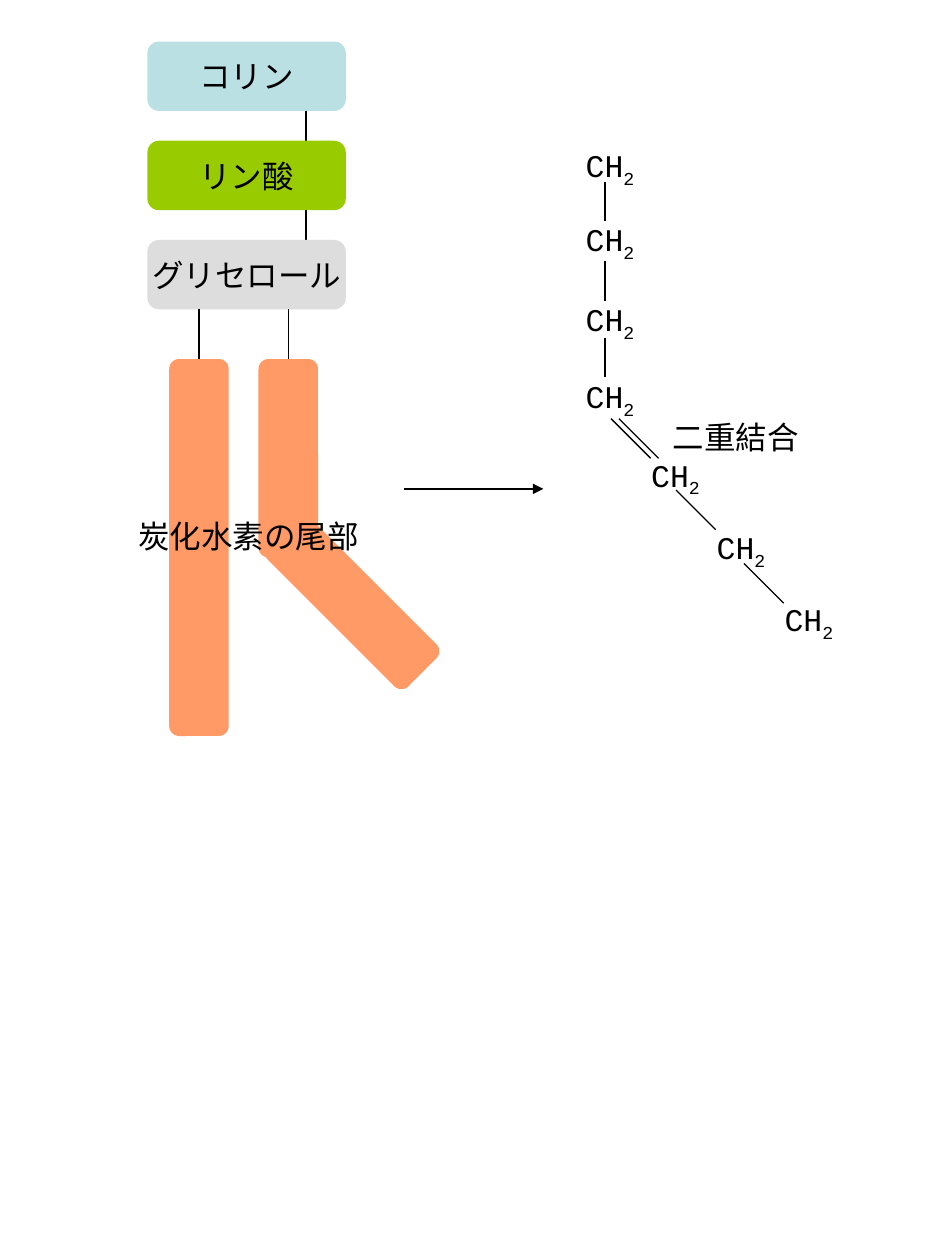
from dataclasses import dataclass
from lxml import etree
from pptx import Presentation
from pptx.dml.color import RGBColor
from pptx.enum.shapes import MSO_CONNECTOR, MSO_SHAPE
from pptx.enum.text import MSO_ANCHOR, MSO_AUTO_SIZE, PP_ALIGN
from pptx.oxml.ns import qn
from pptx.util import Inches, Mm, Pt

COLORS = {
    "ink": "000000",
    "choline": "BBE0E3",
    "phosphate": "99CC00",
    "glycerol": "DDDDDD",
    "tail": "FF9966",
}
CELL = Mm(2)  # one column or row of the drawing grid


@dataclass
class Box:
    """A region whose parts are placed in grid columns and rows."""
    left: float
    top: float

    def point(self, column, row):
        return (int(Inches(self.left) + column * CELL),
                int(Inches(self.top) + row * CELL))

    def frame(self, column, row, columns, rows):
        return (*self.point(column, row), int(columns * CELL), int(rows * CELL))


def color(name):
    return RGBColor.from_string(COLORS[name])


def write(shape, runs, font_name="Arial", **frame_format):
    """Fill a shape with (text, baseline) runs on one unwrapped line."""
    text_frame = shape.text_frame
    for name, value in {"word_wrap": False, **frame_format}.items():
        setattr(text_frame, name, value)
    for text, baseline in runs:
        run = text_frame.paragraphs[0].add_run()
        run.text = text
        for name, value in {"name": font_name, "size": Pt(18)}.items():
            setattr(run.font, name, value)
        run.font.color.rgb = color("ink")
        if baseline:
            run.font._element.set("baseline", str(baseline))


def add_label(slide, frame, runs, font_name="Arial"):
    label = slide.shapes.add_textbox(*frame)
    write(label, runs, font_name, auto_size=MSO_AUTO_SIZE.SHAPE_TO_FIT_TEXT)


def add_bar(slide, frame, fill, rotation=0):
    bar = slide.shapes.add_shape(MSO_SHAPE.ROUNDED_RECTANGLE, *frame)
    bar.shadow.inherit = False
    bar.fill.solid()
    bar.fill.fore_color.rgb = color(fill)
    bar.line.fill.background()
    bar.rotation = rotation
    return bar


def add_line(slide, start, end, arrow=False):
    line = slide.shapes.add_connector(MSO_CONNECTOR.STRAIGHT, *start, *end)
    line.line.color.rgb = color("ink")
    line.line.width = Pt(0.75)
    if arrow:
        outline = line.line._get_or_add_ln()
        etree.SubElement(outline, qn("a:tailEnd"), type="triangle")
    etree.SubElement(line._element.spPr, qn("a:effectLst"))
    return line


def draw_phospholipid(slide, box):
    # Line behind the head groups
    add_line(slide, box.point(16, 4), box.point(16, 24))

    # Head groups
    heads = [("コリン", "choline"), ("リン酸", "phosphate"), ("グリセロール", "glycerol")]
    for index, (text, fill) in enumerate(heads):
        block = add_bar(slide, box.frame(0, 10 * index, 20, 7), fill)
        block.text_frame.paragraphs[0].alignment = PP_ALIGN.CENTER
        write(block, [(text, 0)], vertical_anchor=MSO_ANCHOR.MIDDLE)

    # Hydrocarbon tails with their stems, the second one bent
    for column, length in [(2.2, 38), (11.2, 20)]:
        tail = add_bar(slide, box.frame(column, 32, 6, length), "tail")
        stem = add_line(slide, box.point(column + 3, 27), box.point(column + 3, 32))
        stem.end_connect(tail, 0)
    add_bar(slide, box.frame(17.65, 46.5, 6, 20), "tail", rotation=315)
    add_label(slide, box.frame(-2.15, 47.25, 24.8, 5), [("炭化水素の尾部", 0)])


def draw_arrow(slide, box):
    add_line(slide, box.point(0, 0), box.point(14, 0), arrow=True)


def draw_carbon_chain(slide, box):
    # Carbon groups, wide enough to keep the subscript on the line
    groups = [(0, 0), (0, 7.5), (0, 15.5), (0, 23.25),
              (6.6, 31.2), (13.2, 38.5), (20.05, 45.8)]
    for column, row in groups:
        add_label(slide, box.frame(column, row, 7.7, 5.6),
                  [("CH", 0), ("2", -25000)], "Courier New")

    # Bonds: upright ones, then slanted ones starting with the double bond
    upright = [(3.2, row, 0) for row in (4.2, 12.2, 19.95)]
    slanted = [(column, row, 4) for column, row in
               [(4.6, 28.1), (3.8, 28.1), (10.35, 35.3), (17.2, 42.7)]]
    for column, row, run in upright + slanted:
        add_line(slide, box.point(column, row), box.point(column + run, row + 4))
    add_label(slide, box.frame(8.8, 27.4, 15.2, 5), [("二重結合", 0)])


def main():
    presentation = Presentation()
    presentation.slide_width = Inches(7.5)
    presentation.slide_height = Inches(10)
    slide = presentation.slides.add_slide(presentation.slide_layouts[6])
    draw_phospholipid(slide, Box(1.17, 0.33))
    draw_arrow(slide, Box(3.21, 3.88))
    draw_carbon_chain(slide, Box(4.55, 1.11))
    presentation.save("out.pptx")


if __name__ == "__main__":
    main()
